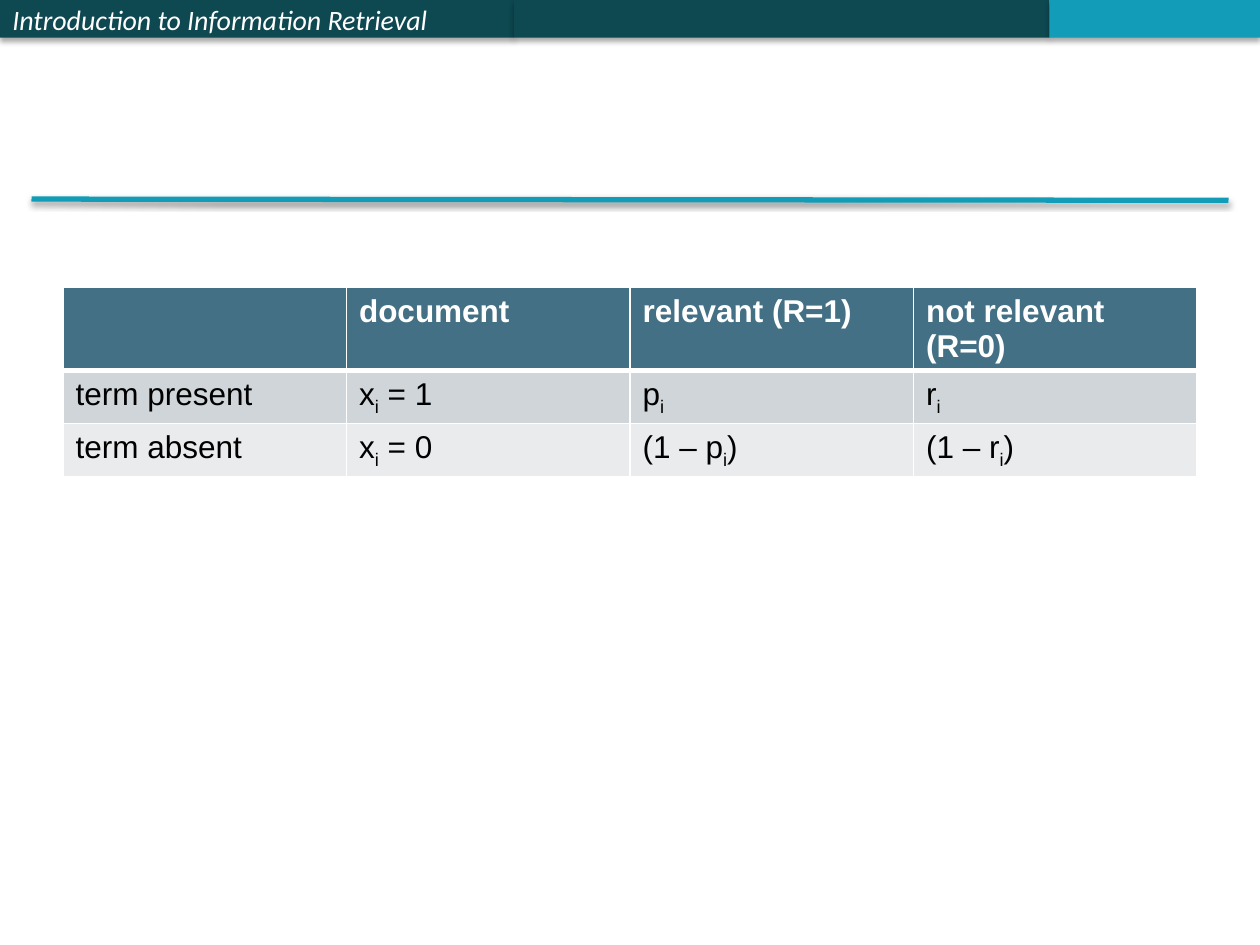
from lxml.etree import SubElement
from pptx import Presentation
from pptx.dml.color import RGBColor
from pptx.enum.shapes import MSO_CONNECTOR, MSO_SHAPE
from pptx.enum.text import MSO_ANCHOR, PP_ALIGN
from pptx.oxml.ns import qn
from pptx.util import Inches, Pt

WIDTH, HEIGHT = 10, 7.5
DARK, TEAL, WHITE, BLACK = "0E4851", "139CB7", "FFFFFF", "000000"

# Header bar: text, width in inches, fill
BAR_HEIGHT = 0.3
BAR = [
    ("Introduction to Information Retrieval", 4.08, DARK),
    ("", 4.25, DARK),
    ("", 1.67, TEAL),
]

# Table cells as runs: every second run is a subscript
ROWS = [
    [(), ("document",), ("relevant (R=1)",), ("not relevant (R=0)",)],
    [("term present",), ("x", "i", " = 1"), ("p", "i"), ("r", "i")],
    [("term absent",), ("x", "i", " = 0"), ("(1 – p", "i", ")"), ("(1 – r", "i", ")")],
]
ROW_FILLS = ["437085", "CFD5D9", "E9EBED"]
MARGIN, TABLE_TOP, ROW_HEIGHT = 0.5, 2.28, 0.41


def color(value):
    return RGBColor.from_string(value)


def add_run(paragraph, text, font_name, size, ink):
    run = paragraph.add_run()
    run.text = text
    run.font.name, run.font.size = font_name, Pt(size)
    run.font.color.rgb = color(ink)
    return run


def add_shadow(part, opacity, distance):
    effects = SubElement(part._element.spPr, qn("a:effectLst"))
    shadow = SubElement(effects, qn("a:outerShdw"), blurRad=str(Pt(3.1)),
                        dist=str(Pt(distance)), dir="5400000", rotWithShape="0")
    ink = SubElement(shadow, qn("a:srgbClr"), val=BLACK)
    SubElement(ink, qn("a:alpha"), val=str(opacity * 1000))


def add_borders(cell, widths):
    properties = cell._tc.get_or_add_tcPr()
    for side, width in widths.items():
        border = SubElement(properties, qn(f"a:ln{side}"), w=str(Pt(width)))
        fill = SubElement(border, qn("a:solidFill"))
        SubElement(fill, qn("a:srgbClr"), val=WHITE)


prs = Presentation()
prs.slide_width, prs.slide_height = Inches(WIDTH), Inches(HEIGHT)
slide = prs.slides.add_slide(prs.slide_layouts[6])

# Header bar
left = 0
for text, width, fill in BAR:
    segment = slide.shapes.add_shape(MSO_SHAPE.RECTANGLE, Inches(left), 0,
                                     Inches(width), Inches(BAR_HEIGHT))
    segment.fill.solid()
    segment.fill.fore_color.rgb = color(fill)
    segment.line.fill.background()
    add_shadow(segment, 35, 1.8)
    if text:
        segment.text_frame.vertical_anchor = MSO_ANCHOR.MIDDLE
        paragraph = segment.text_frame.paragraphs[0]
        paragraph.alignment = PP_ALIGN.LEFT
        add_run(paragraph, text, "Calibri", 16, WHITE).font.italic = True
    left += width

# Rule under the title area
rule = slide.shapes.add_connector(MSO_CONNECTOR.STRAIGHT, Inches(0.25), Inches(1.58),
                                  Inches(WIDTH - 0.25), Inches(1.59))
rule.line.color.rgb = color(TEAL)
rule.line.width = Pt(3)
add_shadow(rule, 38, 1.6)

# Probability table
table = slide.shapes.add_table(
    len(ROWS), len(ROWS[0]), Inches(MARGIN), Inches(TABLE_TOP),
    Inches(WIDTH - 2 * MARGIN), Inches(ROW_HEIGHT * len(ROWS))).table
for r, (row, fill) in enumerate(zip(ROWS, ROW_FILLS)):
    table.rows[r].height = Inches(ROW_HEIGHT)
    header = r == 0
    for c, runs in enumerate(row):
        cell = table.cell(r, c)
        add_borders(cell, {"L": 1, "R": 1, "T": 3 if r == 1 else 1, "B": 3 if header else 1})
        cell.fill.solid()
        cell.fill.fore_color.rgb = color(fill)
        for i, text in enumerate(runs):
            run = add_run(cell.text_frame.paragraphs[0], text, "Arial", 18,
                          WHITE if header else BLACK)
            run.font.bold = header
            if i % 2:
                run._r.get_or_add_rPr().set("baseline", "-25000")

prs.save("out.pptx")
